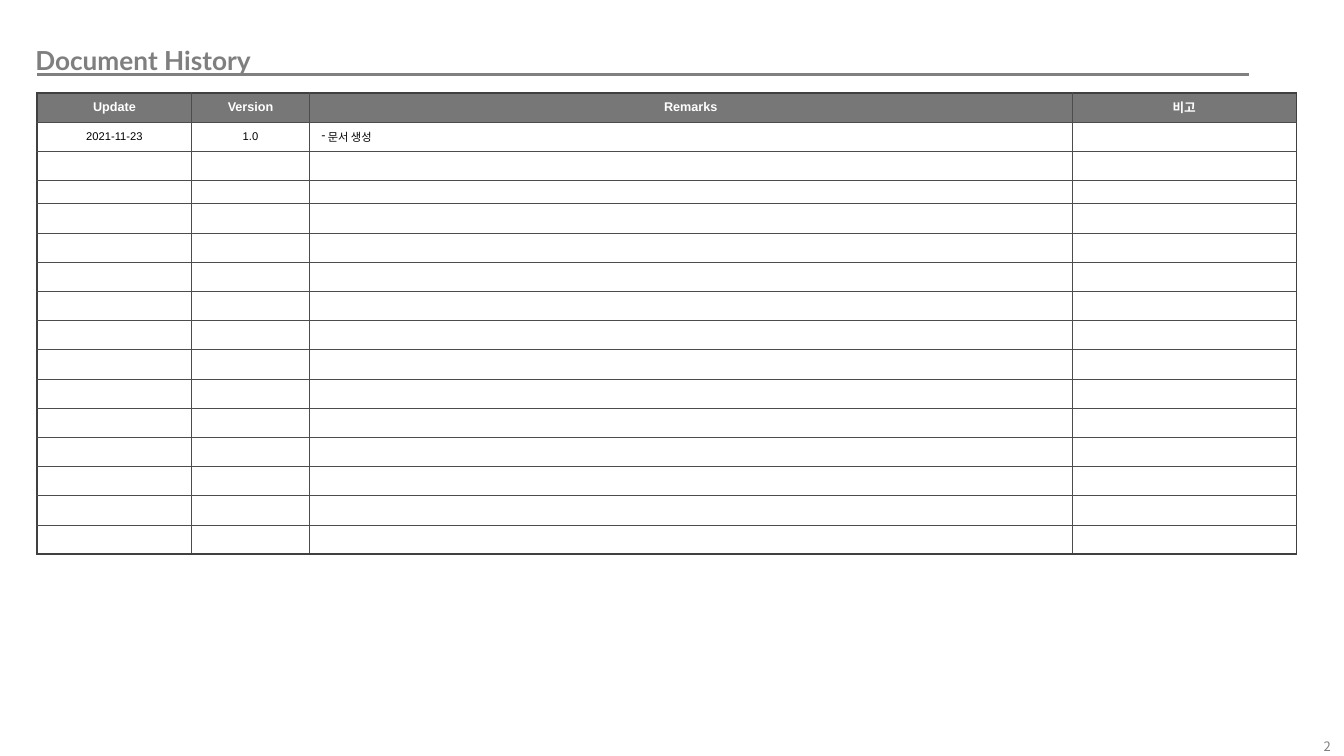
from lxml import etree
from pptx import Presentation, util as u
from pptx.dml.color import RGBColor
from pptx.enum import shapes, text
from pptx.oxml.ns import qn


def style(font, face, size, color, bold=False):
    font.name, font.size, font.bold = face, u.Pt(size), bold
    font.color.rgb = RGBColor.from_string(color)


def add_border(cell, side, color, width):
    edge = etree.SubElement(cell._tc.get_or_add_tcPr(), qn("a:ln" + side), w=str(u.Pt(width)))
    fill = etree.SubElement(edge, qn("a:solidFill"))
    etree.SubElement(fill, qn("a:srgbClr"), val=color)


deck = Presentation()
deck.slide_width, deck.slide_height = u.Inches(13.33), u.Inches(7.5)
slide = deck.slides.add_slide(deck.slide_layouts[6])

labels = [
    ("Document History", (0.22, 0.37, 4.92, 0.45), (0.13, 0.07), True,
     text.MSO_ANCHOR.TOP, text.PP_ALIGN.LEFT, ("Lato", 18.7, "7F7F7F", True)),
    ("2", (12.16, 7.34, 1.15, 0.12), (0.11, 0.06), False,
     text.MSO_ANCHOR.MIDDLE, text.PP_ALIGN.RIGHT, ("Noto Sans CJK KR", 9.3, "808080")),
]
for wording, place, (side_inset, top_inset), wrap, anchor, align, look in labels:
    frame = slide.shapes.add_textbox(*map(u.Inches, place)).text_frame
    frame.margin_left = frame.margin_right = u.Inches(side_inset)
    frame.margin_top = frame.margin_bottom = u.Inches(top_inset)
    frame.word_wrap, frame.vertical_anchor = wrap, anchor
    frame.text = wording
    frame.paragraphs[0].alignment = align
    style(frame.paragraphs[0].runs[0].font, *look)

title_rule = slide.shapes.add_connector(
    shapes.MSO_CONNECTOR.STRAIGHT, *map(u.Inches, (0.37, 0.74, 12.39, 0.74)))
title_rule.line.color.rgb = RGBColor.from_string("808080")
title_rule.line.width = u.Pt(2.25)
etree.SubElement(title_rule._element.spPr, qn("a:effectLst"))

entries = [
    ["Update", "Version", "Remarks", "비고"],
    ["2021-11-23", "1.0", " 문서 생성", ""],
]
widths = [1.53, 1.17, 7.56, 2.23]
heights = [0.29] * 3 + [0.23] + [0.29] * 12
last_row, last_column = len(heights) - 1, len(widths) - 1
history = slide.shapes.add_table(
    len(heights), len(widths), *map(u.Inches, (0.37, 0.92, sum(widths), sum(heights)))).table
history.first_row = history.horz_banding = False
for column, width in zip(history.columns, widths):
    column.width = u.Inches(width)

for r, height in enumerate(heights):
    history.rows[r].height = u.Inches(height)
    for c in range(len(widths)):
        cell = history.cell(r, c)
        cell.margin_left = cell.margin_right = u.Inches(0.12)
        cell.margin_top = cell.margin_bottom = u.Inches(0.05)
        cell.vertical_anchor = text.MSO_ANCHOR.MIDDLE
        outer = {"L": c == 0, "R": c == last_column, "T": r == 0, "B": r == last_row}
        for side, is_outer in outer.items():
            add_border(cell, side, *(("404040", 1.5) if is_outer else ("4C4C4C", 0.25)))
        if r == 0:
            cell.fill.solid()
            cell.fill.fore_color.rgb = RGBColor.from_string("777777")
        else:
            cell.fill.background()

        paragraph = cell.text_frame.paragraphs[0]
        wording = entries[r][c] if r < len(entries) else ""
        if not wording:
            etree.SubElement(paragraph._p, qn("a:endParaRPr"), sz="700")
            continue
        paragraph.text = wording
        paragraph.space_before = u.Pt(1.8)
        paragraph.alignment = text.PP_ALIGN.CENTER
        look = ("Arial", 9, "FFFFFF", True) if r == 0 else ("Arial", 8, "000000")
        style(paragraph.runs[0].font, *look)

remark = history.cell(1, 2).text_frame.paragraphs[0]
remark.alignment = text.PP_ALIGN.LEFT
remark_format = remark._p.get_or_add_pPr()
bullet_color = etree.SubElement(remark_format, qn("a:buClr"))
etree.SubElement(bullet_color, qn("a:srgbClr"), val="000000")
etree.SubElement(remark_format, qn("a:buChar"), char="-")

deck.save("out.pptx")
